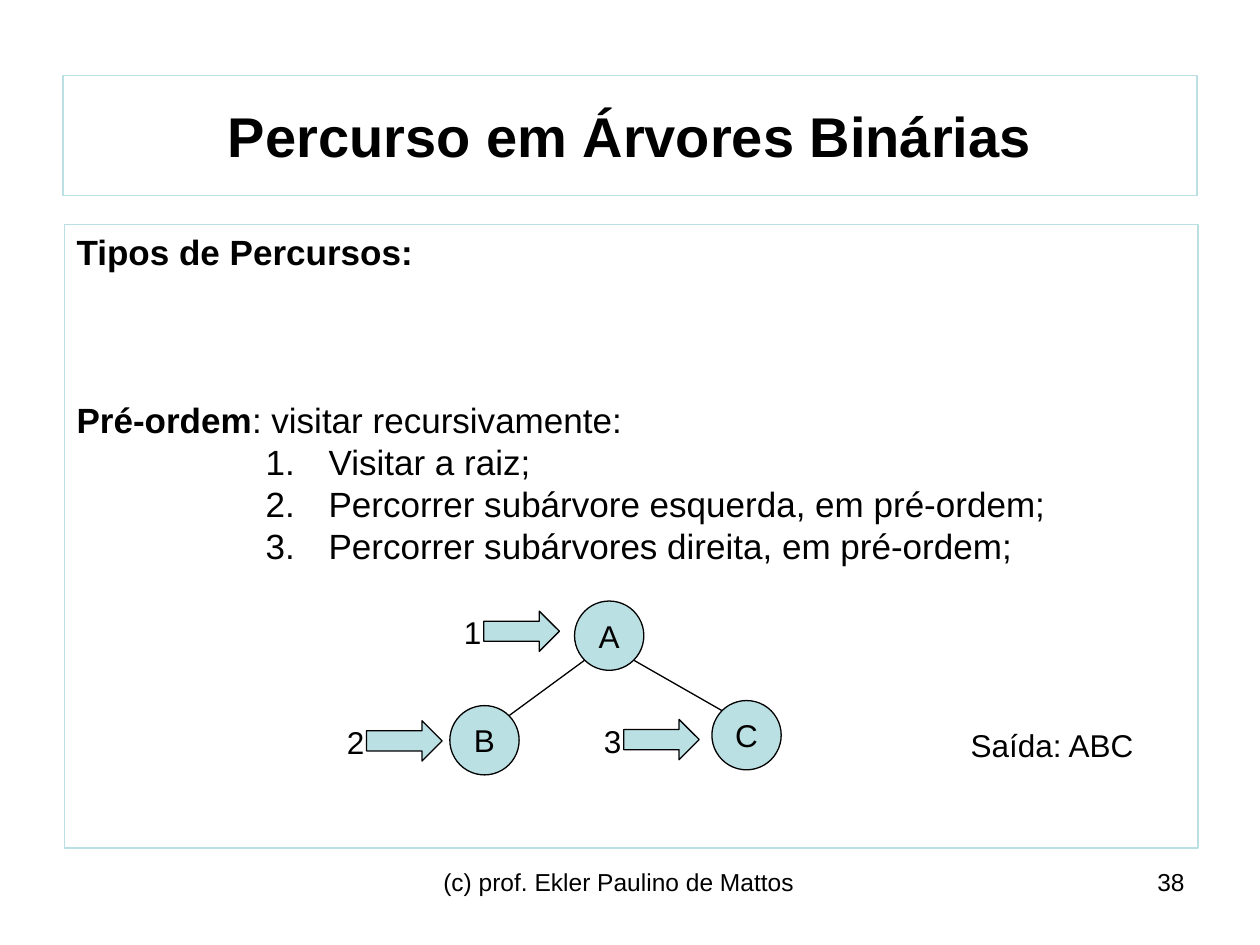
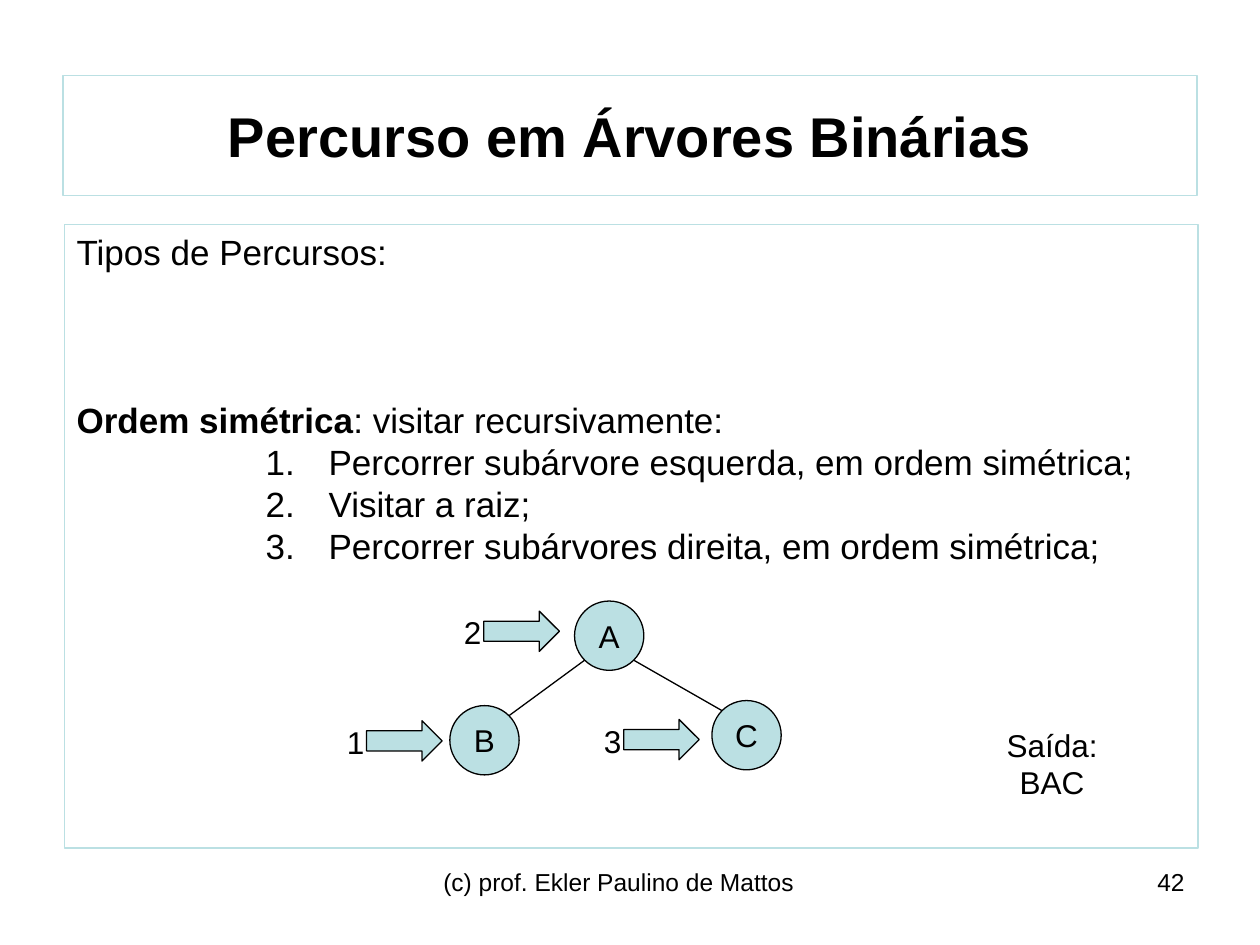
from dataclasses import dataclass
from math import sqrt

from lxml import etree
from pptx import Presentation
from pptx import util as u
from pptx.dml.color import RGBColor
from pptx.enum import shapes, text
from pptx.oxml.ns import qn

SCALE = 9144  # EMU in one px, 100 px to the inch
FONT = "Arial"
HEX = {"ink": "000000", "aqua": "BBE0E3"}
SHAPE = shapes.MSO_SHAPE
ALIGN = text.PP_ALIGN
SIDE = 55  # node diameter


@dataclass(frozen=True)
class Node:
    name: str
    x: int
    y: int
    arrow_x: int
    arrow_y: int

    def edge(self, dx: int, dy: int) -> tuple[int, int]:
        """Point of the circle on the diagonal toward (dx, dy)."""
        reach = SIDE / 2 / sqrt(2)
        return (round(self.x + SIDE / 2 + dx * reach),
                round(self.y + SIDE / 2 + dy * reach))


@dataclass(frozen=True)
class Walk:
    """One kind of traversal, shown on one slide."""
    name: str
    steps: tuple[str, ...]
    order: str
    page: int
    bold: bool


ROOT = Node("A", 456, 477, 384, 485)
LEFT = Node("B", 357, 560, 291, 572)
RIGHT = Node("C", 565, 556, 495, 571)

WALKS = (
    Walk("Pré-ordem",
         ("Visitar a raiz;",
          "Percorrer subárvore esquerda, em pré-ordem;",
          "Percorrer subárvores direita, em pré-ordem;"),
         "ABC", 38, True),
    Walk("Ordem simétrica",
         ("Percorrer subárvore esquerda, em ordem simétrica;",
          "Visitar a raiz;",
          "Percorrer subárvores direita, em ordem simétrica;"),
         "BAC", 42, False),
)


def px(*sizes: int) -> list[u.Emu]:
    return [u.Emu(size * SCALE) for size in sizes]


def tint(name: str) -> RGBColor:
    return RGBColor.from_string(HEX[name])


def style(run, size: int, bold: bool = False) -> None:
    run.font.name = FONT
    run.font.size = u.Pt(size)
    run.font.bold = bold
    run.font.color.rgb = tint("ink")


def outline(shape, name: str) -> None:
    shape.line.color.rgb = tint(name)
    shape.line.width = u.Pt(0.75)


def write(shape, words: str, size: int, align, bold: bool = False) -> None:
    par = shape.text_frame.paragraphs[0]
    par.text = words
    par.alignment = align
    style(par.runs[0], size, bold)


def label(parent, box: tuple[int, ...], words: str, size: int, align,
          wrap: bool = False) -> None:
    """Add a text box; one that does not wrap also grows with its text."""
    item = parent.shapes.add_textbox(*px(*box))
    frame = item.text_frame
    frame.word_wrap = wrap
    if not wrap:
        frame.auto_size = text.MSO_AUTO_SIZE.SHAPE_TO_FIT_TEXT
    write(item, words, size, align)


def solid(parent, kind, box: tuple[int, ...]):
    item = parent.shapes.add_shape(kind, *px(*box))
    item.shadow.inherit = False
    item.fill.solid()
    item.fill.fore_color.rgb = tint("aqua")
    outline(item, "ink")
    return item


def head(slide) -> None:
    title = slide.shapes.title
    title.left, title.top, title.width, title.height = px(50, 60, 900, 95)
    title.text_frame.auto_size = text.MSO_AUTO_SIZE.NONE
    title.text_frame.vertical_anchor = text.MSO_ANCHOR.MIDDLE
    outline(title, "aqua")
    write(title, "Percurso em Árvores Binárias", 32, ALIGN.CENTER, True)


def number(par) -> None:
    par.level = 3
    props = par._p.get_or_add_pPr()
    props.set("marL", str(200 * SCALE))
    props.set("indent", str(-50 * SCALE))
    etree.SubElement(props, qn("a:buFont"), typeface=FONT)
    etree.SubElement(props, qn("a:buAutoNum"), type="arabicPeriod")


def body(slide, walk: Walk) -> None:
    panel = slide.shapes.add_shape(SHAPE.RECTANGLE, *px(51, 178, 900, 495))
    panel.shadow.inherit = False
    panel.fill.background()
    outline(panel, "aqua")
    frame = panel.text_frame
    frame.word_wrap = True
    frame.vertical_anchor = text.MSO_ANCHOR.TOP

    lines = [[("Tipos de Percursos:", walk.bold)],
             [(walk.name, True), (": visitar recursivamente:", False)]]
    lines += [[(step, False)] for step in walk.steps]
    for i, parts in enumerate(lines):
        par = frame.add_paragraph() if i else frame.paragraphs[0]
        par.alignment = ALIGN.JUSTIFY
        par.line_spacing = u.Pt(24)
        if i == 1:
            par.space_before = u.Pt(72)
        if i > 1:
            number(par)
        for words, bold in parts:
            run = par.add_run()
            run.text = words
            style(run, 20, bold)


def link(slide, start: tuple[int, int], end: tuple[int, int]) -> None:
    line = slide.shapes.add_connector(
        shapes.MSO_CONNECTOR.STRAIGHT, *px(*start, *end))
    outline(line, "ink")
    etree.SubElement(line._element.spPr, qn("a:effectLst"))


def tree(slide, order: str) -> None:
    """Draw the nodes, their edges and the numbered visit arrows."""
    link(slide, ROOT.edge(-1, 1), LEFT.edge(1, -1))
    link(slide, ROOT.edge(1, 1), RIGHT.edge(-1, -1))
    for node in (ROOT, LEFT, RIGHT):
        disc = solid(slide, SHAPE.OVAL, (node.x, node.y, SIDE, SIDE))
        frame = disc.text_frame
        frame.margin_left = frame.margin_right = 0
        frame.margin_top = frame.margin_bottom = 0
        frame.vertical_anchor = text.MSO_ANCHOR.MIDDLE
        write(disc, node.name, 18, ALIGN.CENTER)

        x, y = node.arrow_x, node.arrow_y
        group = slide.shapes.add_group_shape()
        solid(group, SHAPE.RIGHT_ARROW, (x, y, 60, 32))
        turn = order.index(node.name) + 1
        label(group, (x - 26, y - 3, 34, 40), str(turn), 18, ALIGN.RIGHT)


def foot(slide, page: int) -> None:
    label(slide, (342, 683, 317, 52), "(c) prof. Ekler Paulino de Mattos",
          14, ALIGN.LEFT, wrap=True)
    label(slide, (717, 683, 233, 52), str(page), 14, ALIGN.RIGHT, wrap=True)


def main() -> None:
    deck = Presentation()
    deck.slide_width, deck.slide_height = px(1000, 750)
    for walk in WALKS:
        slide = deck.slides.add_slide(deck.slide_layouts[5])
        head(slide)
        body(slide, walk)
        foot(slide, walk.page)
        tree(slide, walk.order)
        label(slide, (760, 571, 150, 40), f"Saída: {walk.order}",
              18, ALIGN.CENTER)
    deck.save("out.pptx")


if __name__ == "__main__":
    main()
